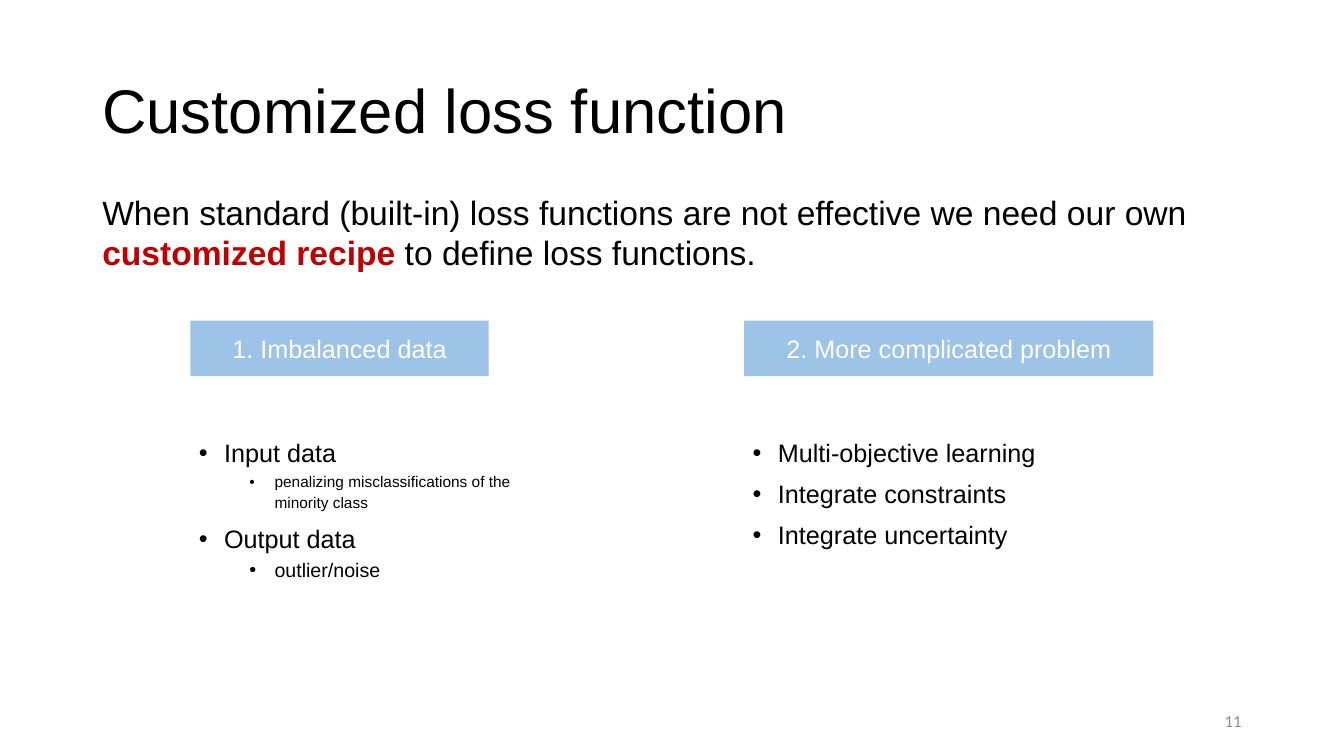
from lxml.etree import SubElement
from pptx import Presentation
from pptx.dml.color import RGBColor
from pptx.enum.shapes import MSO_SHAPE
from pptx.enum.text import MSO_ANCHOR, PP_ALIGN
from pptx.oxml.ns import qn
from pptx.util import Pt

COLORS = {"text": "000000", "accent": "C00000", "label": "9DC3E6",
          "label_text": "FFFFFF", "number": "8C8C8C"}


def style(r, size, color="text", bold=False, font="Arial"):
    """Format one run."""
    r.font.name = font
    r.font.size = Pt(size)
    r.font.bold = bold
    r.font.color.rgb = RGBColor.from_string(COLORS[color])


def add_box(s, box, anchor=MSO_ANCHOR.TOP):
    """Add a wrapping text box and return its text frame."""
    tf = s.shapes.add_textbox(*map(Pt, box)).text_frame
    tf.word_wrap = True
    tf.vertical_anchor = anchor
    return tf


def add_title(s, box, text):
    """Add the slide title."""
    p = add_box(s, box, MSO_ANCHOR.MIDDLE).paragraphs[0]
    p.text = text
    p.line_spacing = 0.9
    style(p.runs[0], 44)


def add_intro(s, box, parts):
    """Add the lead sentence from (text, color, bold) parts."""
    p = add_box(s, box).paragraphs[0]
    for text, color, bold in parts:
        r = p.add_run()
        r.text = text
        style(r, 24, color, bold)


def add_number(s, box, text):
    """Add the slide number."""
    p = add_box(s, box, MSO_ANCHOR.MIDDLE).paragraphs[0]
    p.text = text
    p.alignment = PP_ALIGN.RIGHT
    style(p.runs[0], 12, "number", font="Calibri")


def add_label(s, box, text):
    """Add a filled column heading."""
    sp = s.shapes.add_shape(MSO_SHAPE.RECTANGLE, *map(Pt, box))
    sp.shadow.inherit = False
    sp.fill.solid()
    sp.fill.fore_color.rgb = RGBColor.from_string(COLORS["label"])
    sp.line.fill.background()
    tf = sp.text_frame
    tf.vertical_anchor = MSO_ANCHOR.MIDDLE
    p = tf.paragraphs[0]
    p.text = text
    p.alignment = PP_ALIGN.CENTER
    style(p.runs[0], 18, "label_text")


def add_bullets(s, box, items):
    """Add bullets from (level, runs) items, each run a (text, size) pair."""
    tf = add_box(s, box)
    for i, (level, runs) in enumerate(items):
        p = tf.add_paragraph() if i else tf.paragraphs[0]
        p.level = level
        p.line_spacing = 0.9
        p.space_before = Pt((5 if level else 10) if i else 0)
        pPr = p._p.get_or_add_pPr()
        pPr.set("marL", str(Pt(18 + 36 * level)))
        pPr.set("indent", str(-Pt(18)))
        SubElement(pPr, qn("a:buFont"), typeface="Arial")
        SubElement(pPr, qn("a:buChar"), char="•")
        for text, size in runs:
            r = p.add_run()
            r.text = text
            style(r, size)


def add_column(s, box, label_width, heading, items):
    """Add a heading with its bullet list below."""
    left, top, width, height = box
    list_top = 82
    add_label(s, (left + 1, top, label_width, 39.6), heading)
    add_bullets(s, (left, top + list_top, width, height - list_top), items)


def main():
    """Build the slide and save it."""
    prs = Presentation()
    prs.slide_width, prs.slide_height = Pt(960), Pt(540)
    s = prs.slides.add_slide(prs.slide_layouts[6])
    add_title(s, (66, 28.8, 828, 104.4), "Customized loss function")
    add_intro(s, (66, 133.2, 828, 65.5), [
        ("When standard (built-in) loss functions are not effective we need our own",
         "text", False),
        (" customized recipe ", "accent", True),
        ("to define loss functions.", "text", False)])
    add_column(s, (135, 229, 245.5, 200), 213, "1. Imbalanced data", [
        (0, [("Input data", 18)]),
        (1, [("penalizing misclassifications of the minority class", 11), (" ", 14)]),
        (0, [("Output data", 18)]),
        (1, [("outlier/noise", 14)])])
    add_column(s, (530.6, 229, 253.4, 200), 292.3, "2. More complicated problem", [
        (0, [("Multi-objective learning", 18)]),
        (0, [("Integrate constraints", 18)]),
        (0, [("Integrate uncertainty", 18)])])
    add_number(s, (678, 500.5, 216, 28.8), "11")
    prs.save("out.pptx")


if __name__ == "__main__":
    main()
